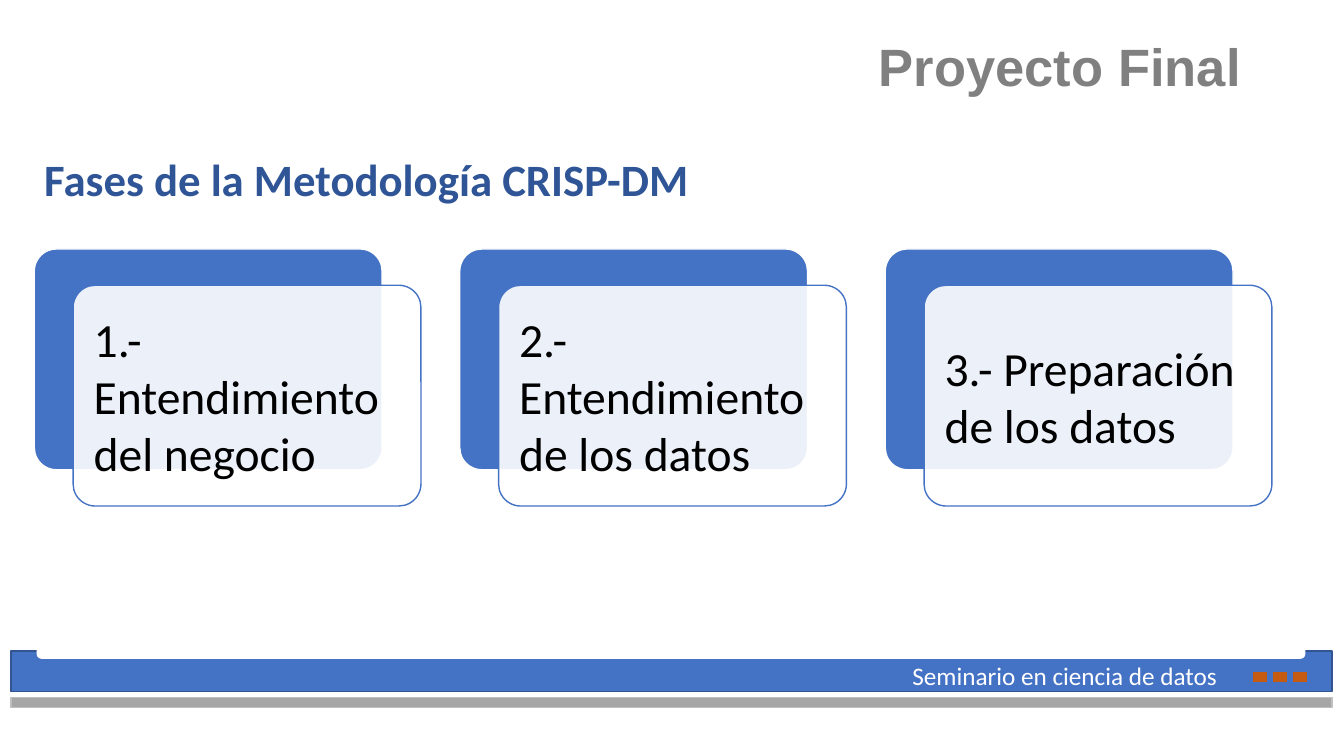
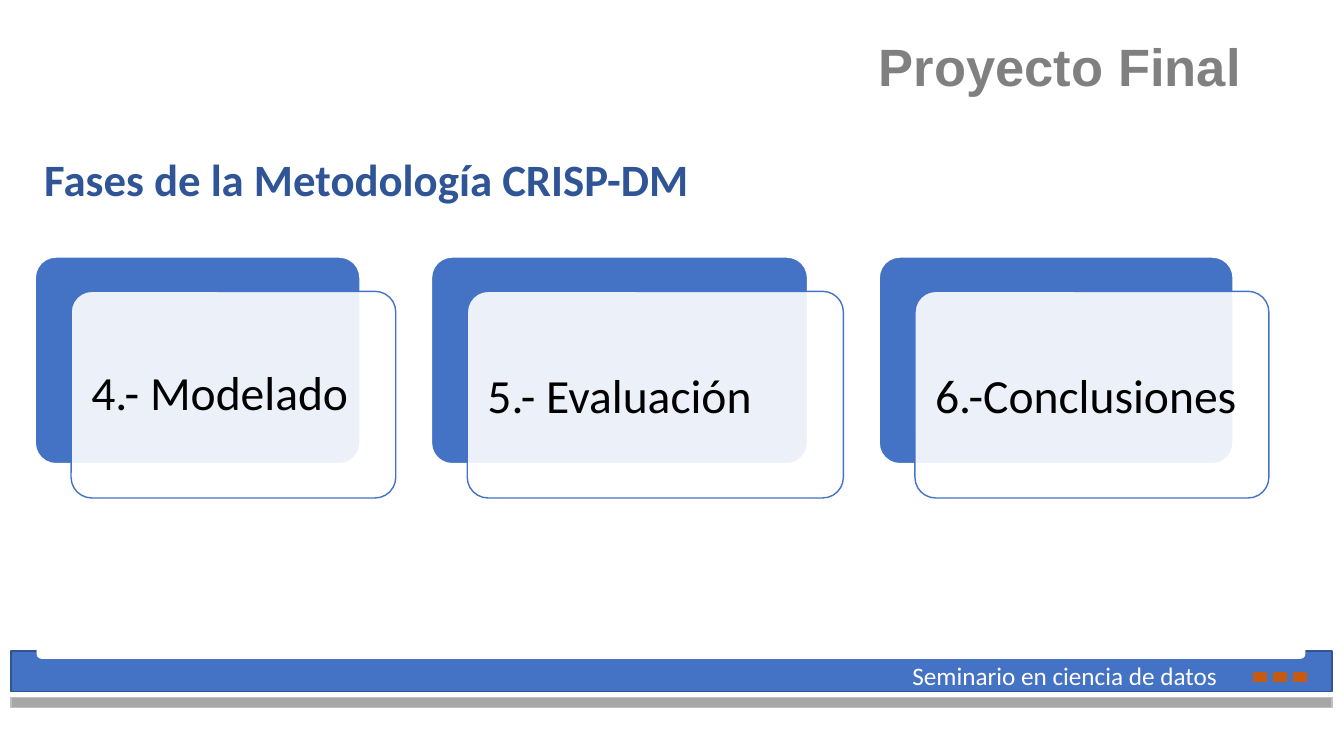
from dataclasses import dataclass

from lxml import etree
from pptx import Presentation
from pptx import util as u
from pptx.dml.color import RGBColor
from pptx.enum import shapes, text
from pptx.oxml.ns import qn

RECT = shapes.MSO_SHAPE.RECTANGLE
ROUND = shapes.MSO_SHAPE.ROUNDED_RECTANGLE


@dataclass(frozen=True)
class Theme:
    blue: str = "4472C4"
    blue_edge: str = "325491"
    heading: str = "2F5597"
    title: str = "808080"
    grey: str = "A6A6A6"
    grey_edge: str = "BFBFBF"
    orange: str = "C55A11"
    white: str = "FFFFFF"
    black: str = "000000"
    title_font: str = "Arial"
    body_font: str = "Calibri"
    title_pt: float = 37.5
    heading_pt: float = 32
    card_pt: float = 34
    footer_pt: float = 18


T = Theme()


def inches(*values):
    return [u.Inches(v) for v in values]


def add_shape(s, kind, box, fill, line, alpha=None, corner=None):
    """Filled preset shape with a 1 pt line; alpha is opacity in percent."""
    sp = s.shapes.add_shape(kind, *inches(*box))
    sp.shadow.inherit = False
    sp.fill.solid()
    sp.fill.fore_color.rgb = RGBColor.from_string(fill)
    sp.line.color.rgb = RGBColor.from_string(line)
    sp.line.width = u.Pt(1)
    if corner is not None:
        sp.adjustments[0] = corner
    if alpha is not None:
        clr = sp._element.spPr.find(qn("a:solidFill"))[0]
        etree.SubElement(clr, qn("a:alpha"), val=str(alpha * 1000))
    return sp


def write(sp, words, size, color, font=T.body_font, bold=False, inset=None,
          anchor=text.MSO_ANCHOR.TOP, align=text.PP_ALIGN.LEFT, spacing=None):
    tf = sp.text_frame
    frame = {"word_wrap": True, "vertical_anchor": anchor}
    if inset is not None:
        for side in ("left", "top", "right", "bottom"):
            frame[f"margin_{side}"] = u.Inches(inset)
    for name, value in frame.items():
        setattr(tf, name, value)
    p = tf.paragraphs[0]
    p.alignment = align
    p.line_spacing = spacing
    r = p.add_run()
    r.text = words
    for name, value in {"name": font, "size": u.Pt(size), "bold": bold}.items():
        setattr(r.font, name, value)
    r.font.color.rgb = RGBColor.from_string(color)


def add_text(s, box, words, size, color, **style):
    write(s.shapes.add_textbox(*inches(*box)), words, size, color, **style)


def add_footer(s):
    # Blue band notched by a white bar, with a grey rule below
    add_shape(s, RECT, (0.11, 6.46, 13.1, 0.4), T.blue, T.blue_edge)
    add_shape(s, ROUND, (0.37, 6.27, 12.57, 0.26), T.white, T.white)
    add_shape(s, RECT, (0.11, 6.92, 13.1, 0.1), T.grey, T.grey_edge)
    # Three orange marks
    for i in range(3):
        add_shape(s, RECT, (12.43 + 0.2 * i, 6.67, 0.13, 0.09), T.orange, T.orange)
    add_text(s, (8.95, 6.5, 3.45, 0.4), "Seminario en ciencia de datos",
             T.footer_pt, T.white)


def add_cards(s, left, top, height, gap, drop, cards):
    """Row of phase cards: a translucent front set half a gap off its back."""
    for words, width, spacing in cards:
        add_shape(s, ROUND, (left, top, width, height), T.blue, T.white, corner=0.1)
        front = add_shape(s, ROUND, (left + gap / 2, top + drop, width, height),
                          T.white, T.blue, alpha=90, corner=0.1)
        write(front, words, T.card_pt, T.black, inset=0.14,
              anchor=text.MSO_ANCHOR.MIDDLE, spacing=spacing)
        left += width + gap


def add_phase_slide(prs, row):
    s = prs.slides.add_slide(prs.slide_layouts[6])
    add_text(s, (1.41, 0.4, 11, 0.6), "Proyecto Final", T.title_pt, T.title,
             font=T.title_font, bold=True, anchor=text.MSO_ANCHOR.BOTTOM,
             align=text.PP_ALIGN.RIGHT, spacing=0.7)
    add_footer(s)
    add_cards(s, **row)
    add_text(s, (0.34, 1.46, 8.29, 0.64), "Fases de la Metodología CRISP-DM",
             T.heading_pt, T.heading, bold=True)


def main():
    prs = Presentation()
    prs.slide_width, prs.slide_height = inches(13.33, 7.5)
    # Phases 1 to 3; each card is words, width, line spacing
    add_phase_slide(prs, {
        "left": 0.34, "top": 2.47, "height": 2.19, "gap": 0.77, "drop": 0.36,
        "cards": [("1.- Entendimiento del negocio", 3.45, None),
                  ("2.-Entendimiento de los datos", 3.45, None),
                  ("3.- Preparación de los datos", 3.45, None)]})
    # Phases 4 to 6
    add_phase_slide(prs, {
        "left": 0.35, "top": 2.55, "height": 2.05, "gap": 0.71, "drop": 0.34,
        "cards": [("4.- Modelado", 3.22, 0.9),
                  ("5.- Evaluación", 3.73, None),
                  ("6.-Conclusiones", 3.51, None)]})
    prs.save("out.pptx")


if __name__ == "__main__":
    main()
